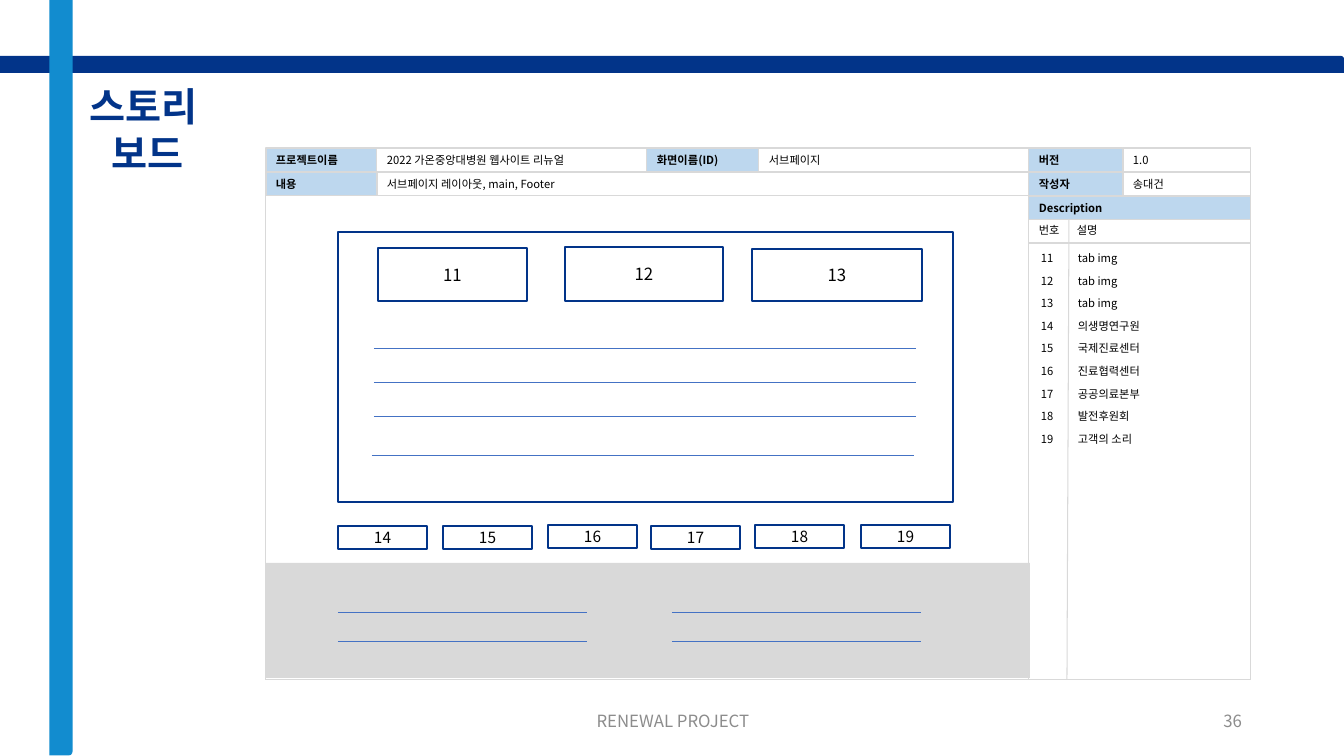
from dataclasses import dataclass

from lxml import etree
from pptx import Presentation
from pptx import util as u
from pptx.dml.color import RGBColor
from pptx.enum import shapes, text
from pptx.oxml.ns import qn

SCALE = 914400 / 100.8  # EMU in one px


@dataclass(frozen=True)
class Theme:
    navy: str = "023489"
    sky: str = "128CCF"
    label: str = "BDD7EE"
    grid: str = "D9D9D9"
    rule: str = "4472C4"
    muted: str = "8C8C8C"
    black: str = "000000"
    body_font: str = "Noto Sans CJK KR"
    title_font: str = "Noto Sans"
    small: float = 8
    button: float = 11
    normal: float = 12
    title: float = 28
    title_leading: float = 33.7


THEME = Theme()
LEFT, CENTER, RIGHT = text.PP_ALIGN.LEFT, text.PP_ALIGN.CENTER, text.PP_ALIGN.RIGHT


def px(value):
    return u.Emu(round(value * SCALE))


def rgb(color):
    return RGBColor.from_string(color)


def apply(target, values):
    for name, value in values.items():
        setattr(target, name, value)


def write(shape, lines, size=THEME.small, color=THEME.black, align=LEFT,
          bold=False, font=THEME.body_font, leading=None):
    """Fill a shape with one paragraph per line, centred vertically."""
    frame = shape.text_frame
    apply(frame, {"word_wrap": True, "margin_top": 0, "margin_bottom": 0,
                  "vertical_anchor": text.MSO_ANCHOR.MIDDLE})
    for index, line in enumerate(lines):
        paragraph = frame.add_paragraph() if index else frame.paragraphs[0]
        apply(paragraph, {"alignment": align, "line_spacing": leading})
        run = paragraph.add_run()
        run.text = line
        apply(run.font, {"name": font, "size": u.Pt(size), "bold": bold})
        run.font.color.rgb = rgb(color)
        east_asian = etree.SubElement(run.font._element, qn("a:ea"))
        east_asian.set("typeface", THEME.body_font)


def add_text(slide, box, *lines, **style):
    write(slide.shapes.add_textbox(*map(px, box)), lines, **style)


def add_box(slide, box, fill=None, line=None, width=0.75,
            kind=shapes.MSO_SHAPE.RECTANGLE):
    shape = slide.shapes.add_shape(kind, *map(px, box))
    shape.shadow.inherit = False
    if fill:
        shape.fill.solid()
        shape.fill.fore_color.rgb = rgb(fill)
    else:
        shape.fill.background()
    if line:
        shape.line.color.rgb = rgb(line)
        shape.line.width = u.Pt(width)
    else:
        shape.line.fill.background()
    return shape


def add_cell(slide, box, content, is_label=False):
    shape = add_box(slide, box, THEME.label if is_label else None, THEME.grid)
    write(shape, [content], bold=is_label)


def add_button(slide, box, number, size):
    shape = add_box(slide, box, line=THEME.navy, width=1)
    write(shape, [str(number)], size=size, align=CENTER)


def add_line(slide, ends, color=THEME.grid, width=0.75):
    line = slide.shapes.add_connector(shapes.MSO_CONNECTOR.STRAIGHT, *map(px, ends))
    line.line.color.rgb = rgb(color)
    line.line.width = u.Pt(width)
    etree.SubElement(line._element.spPr, qn("a:effectLst"))


def add_frame(slide):
    # Crossing bars, title and footer
    rounded = shapes.MSO_SHAPE.ROUND_1_RECTANGLE
    add_box(slide, (0, 56, 1344, 17), THEME.navy, kind=rounded)
    add_box(slide, (-317, 366, 756, 23), THEME.sky, kind=rounded).rotation = 90
    add_text(slide, (446, 701, 454, 40), "RENEWAL PROJECT", size=THEME.normal,
             color=THEME.muted, align=CENTER)
    add_text(slide, (950, 701, 302, 40), "36", size=THEME.normal,
             color=THEME.muted, align=RIGHT)
    add_text(slide, (45, 77, 206, 105), "스토리 ", "보드", size=THEME.title,
             color=THEME.navy, align=CENTER, bold=True, font=THEME.title_font,
             leading=u.Pt(THEME.title_leading))


def add_header(slide):
    # Project details: left edge, right edge, content, label or value
    rows = [
        [(266, 377, "프로젝트이름", True), (377, 647, "2022 가온중앙대병원 웹사이트 리뉴얼", False),
         (647, 759, "화면이름(ID)", True), (759, 1029, "서브페이지", False),
         (1029, 1123, "버전", True), (1123, 1251, "1.0", False)],
        [(266, 377, "내용", True), (377, 1029, "서브페이지 레이아웃, main, Footer", False),
         (1029, 1123, "작성자", True), (1123, 1251, "송대건", False)],
        [(1029, 1251, "Description", True)],
    ]
    for row, cells in enumerate(rows):
        for left, right, content, is_label in cells:
            add_cell(slide, (left, 148 + 24 * row, right - left, 24), content, is_label)


def add_descriptions(slide):
    # Numbered list on the right
    add_text(slide, (1029, 218, 46, 24), "번호")
    add_text(slide, (1067, 218, 184, 24), "설명")
    names = ["tab img"] * 3 + ["의생명연구원", "국제진료센터", "진료협력센터",
                               "공공의료본부", "발전후원회", "고객의 소리"]
    for index, name in enumerate(names):
        top = 246 + round(22.6 * index)
        add_text(slide, (1031, top, 46, 24), str(11 + index))
        add_text(slide, (1068, top, 184, 24), name)

    # Borders of the storyboard
    for ends in [(1029, 159, 1029, 680), (1069, 219, 1067, 680),
                 (1251, 193, 1251, 680), (266, 169, 266, 680),
                 (1251, 680, 266, 680), (1251, 243, 1029, 243)]:
        add_line(slide, ends)


def add_wireframe(slide):
    # Page footer
    add_box(slide, (266, 563, 764, 115), THEME.grid)
    for left in (338, 672):
        for top in (612, 641):
            add_line(slide, (left, top, left + 249, top), THEME.rule, 0.5)

    # Main panel with text lines
    add_box(slide, (338, 232, 615, 270), line=THEME.navy, width=1)
    for left, top in [(374, 348), (374, 382), (374, 416), (372, 455)]:
        add_line(slide, (left, top, left + 542, top), THEME.rule, 0.5)

    # Tabs and shortcut buttons
    tabs = [(378, 248, 149, 53), (565, 247, 158, 54), (752, 249, 170, 52)]
    for number, box in enumerate(tabs, 11):
        add_button(slide, box, number, THEME.normal)
    corners = [(338, 526), (443, 526), (548, 525), (651, 526), (755, 525), (861, 525)]
    for number, (left, top) in enumerate(corners, 14):
        add_button(slide, (left, top, 89, 23), number, THEME.button)


def main():
    presentation = Presentation()
    apply(presentation, {"slide_width": px(1344), "slide_height": px(756)})
    slide = presentation.slides.add_slide(presentation.slide_layouts[6])
    add_frame(slide)
    add_header(slide)
    add_descriptions(slide)
    add_wireframe(slide)
    presentation.save("out.pptx")


if __name__ == "__main__":
    main()
